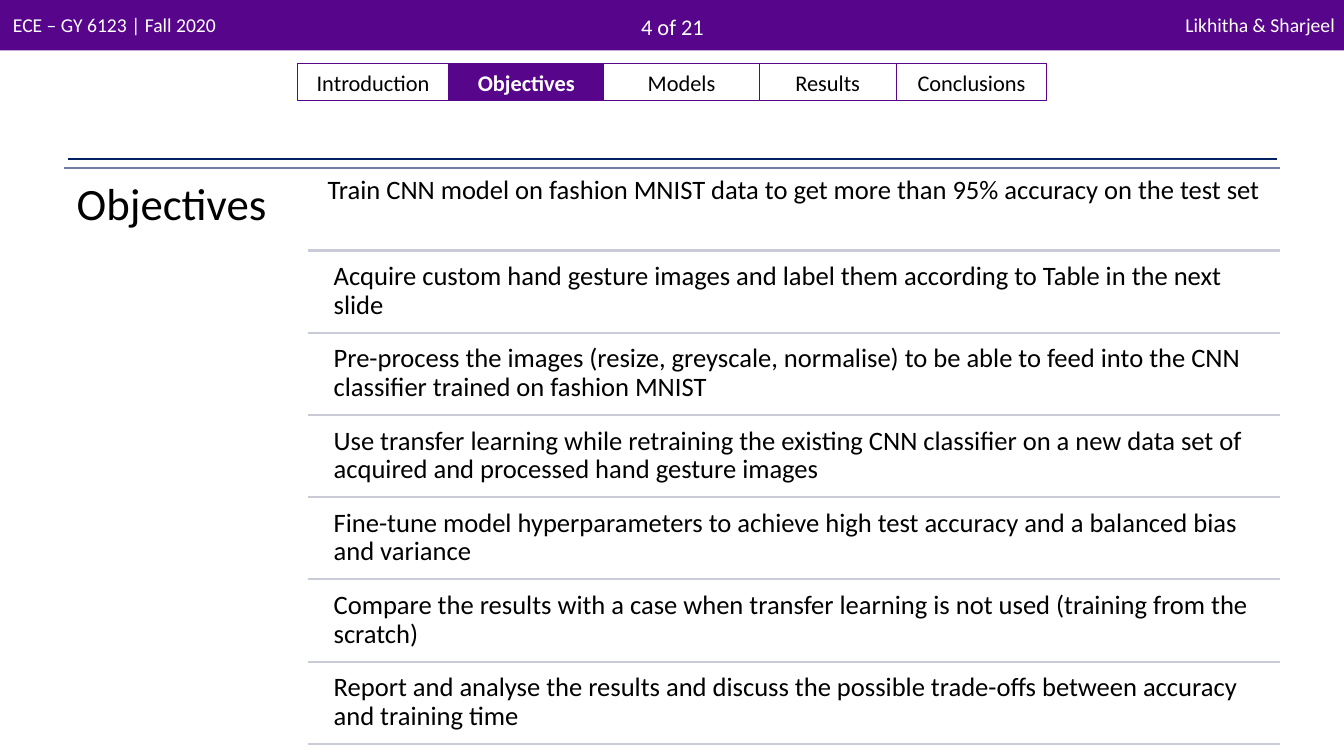
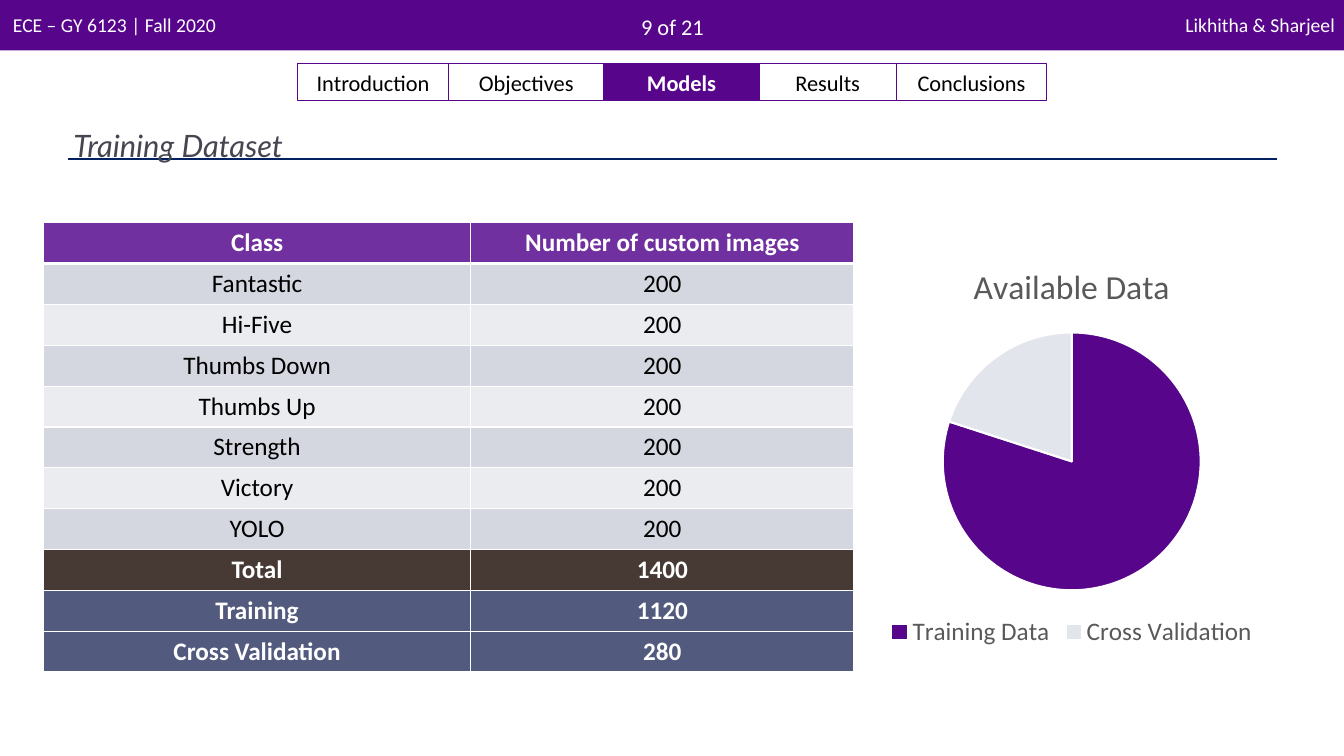
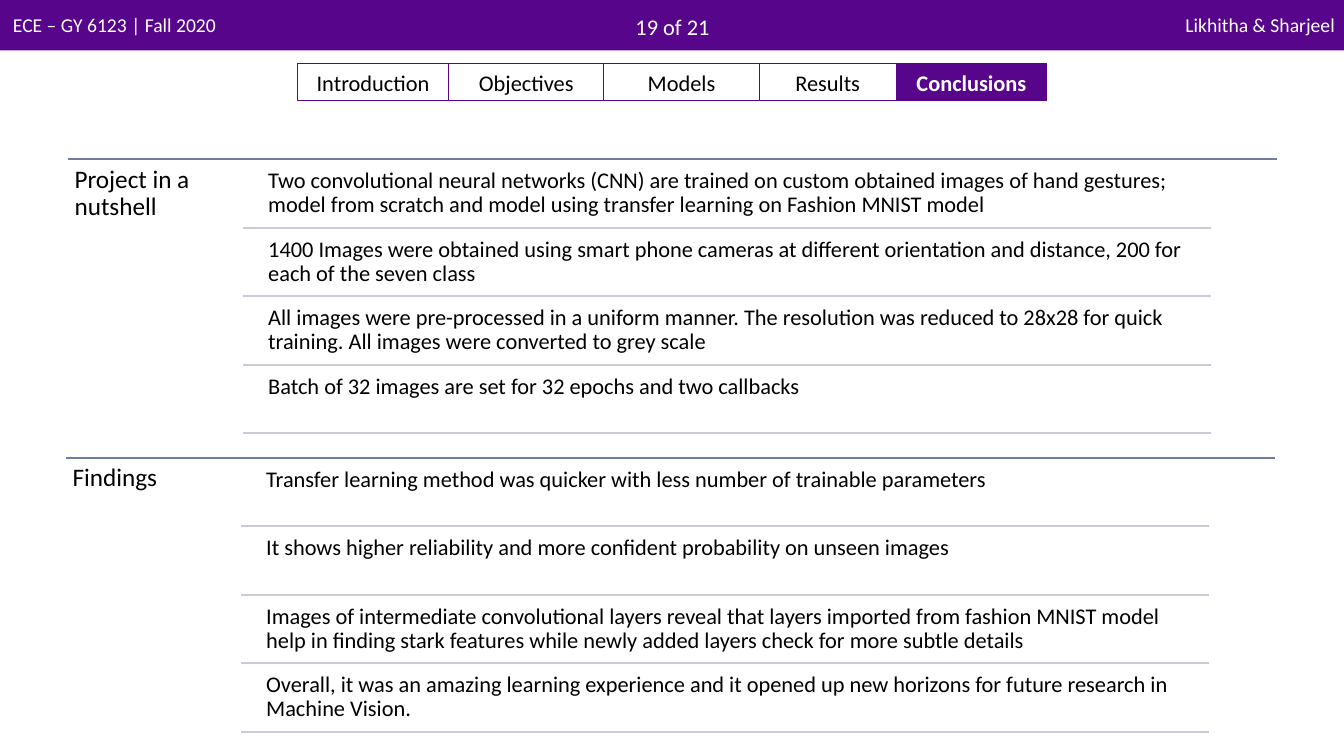
"""Three slides of a hand gesture classification talk."""
from dataclasses import dataclass

from lxml import etree
from pptx import Presentation
from pptx import util as u
from pptx.chart import data as chart_data
from pptx.dml.color import RGBColor
from pptx.enum import chart as chart_enum
from pptx.enum import shapes, text
from pptx.oxml import ns

CENTER, RIGHT = text.PP_ALIGN.CENTER, text.PP_ALIGN.RIGHT
TABS = [("Introduction", 1.5), ("Objectives", 1.54), ("Models", 1.54),
        ("Results", 1.36), ("Conclusions", 1.49)]
PAGE_COUNT = 21


@dataclass(frozen=True)
class Theme:
    """Colours, fonts and type sizes of the deck."""
    purple: str = "57068C"
    navy: str = "002060"
    white: str = "FFFFFF"
    black: str = "000000"
    title: str = "464653"
    head_rule: str = "727CA3"
    item_rule: str = "C9CCD7"
    table_head: str = "7030A0"
    bands: tuple = ("D5D7E0", "EBECF0")
    total: str = "473A35"
    split: str = "525B7E"
    chart_text: str = "595959"
    chart_light: str = "E3E5ED"
    font: str = "Calibri"
    title_font: str = "Lato"
    band_size: int = 14
    tab_size: int = 16
    title_size: int = 22
    table_size: int = 18
    legend_size: int = 18
    chart_title_size: int = 24


THEME = Theme()


@dataclass(frozen=True)
class Outline:
    """Measures of a labelled list with a rule under each item."""
    left: float
    top: float
    height: float
    head_width: float
    item_left: float
    item_right: float
    gap: float
    inset: float
    label_inset: float
    label_size: int
    item_size: int


def rgb(value):
    """Turn a hex string into a colour."""
    return RGBColor.from_string(value)


def style_font(font, size, color, bold=False, italic=False, name=THEME.font):
    """Set the face, size and colour of a font."""
    font.name, font.size = name, u.Pt(size)
    font.bold, font.italic = bold, italic
    font.color.rgb = rgb(color)


def write(frame, words, size, color, align=None, spacing=None, **style):
    """Write one run into the first paragraph of a text frame."""
    para = frame.paragraphs[0]
    para.alignment, para.line_spacing = align, spacing
    span = para.add_run()
    span.text = words
    style_font(span.font, size, color, **style)


def add_label(page, place, words, size, color, inset=None,
              anchor=text.MSO_ANCHOR.TOP, **style):
    """Add a wrapping text box at (left, top, width, height)."""
    box = page.shapes.add_textbox(*map(u.Inches, place))
    frame = box.text_frame
    frame.word_wrap = True
    frame.vertical_anchor = anchor
    if inset is not None:
        frame.margin_left = frame.margin_right = u.Inches(inset)
        frame.margin_top = frame.margin_bottom = u.Inches(inset)
    write(frame, words, size, color, **style)


def add_box(page, place, fill=None, line=None):
    """Add a plain rectangle and return it."""
    box = page.shapes.add_shape(shapes.MSO_SHAPE.RECTANGLE, *map(u.Inches, place))
    box.shadow.inherit = False
    if fill:
        box.fill.solid()
        box.fill.fore_color.rgb = rgb(fill)
    else:
        box.fill.background()
    if line:
        box.line.color.rgb = rgb(line)
        box.line.width = u.Pt(0.75)
    else:
        box.line.fill.background()
    return box


def add_rule(page, left, right, top, color):
    """Add a horizontal line."""
    rule = page.shapes.add_connector(shapes.MSO_CONNECTOR.STRAIGHT,
                                     *map(u.Inches, (left, top, right, top)))
    rule.line.color.rgb = rgb(color)
    rule.line.width = u.Pt(1.5)
    etree.SubElement(rule.element.spPr, ns.qn("a:effectLst"))


def add_tabs(page, current):
    """Add the section tabs with the current one filled."""
    left = 2.95
    for name, width in TABS:
        active = name == current
        tab = add_box(page, (left, 0.63, width, 0.37),
                      THEME.purple if active else None, THEME.purple)
        write(tab.text_frame, name, THEME.tab_size,
              THEME.white if active else THEME.black, CENTER, bold=active)
        left += width


def start_page(deck, number, section):
    """Add a slide with the top band, the title rule and the tabs."""
    page = deck.slides.add_slide(deck.slide_layouts[6])
    add_box(page, (0, 0, 13.33, 0.5), THEME.purple)
    add_label(page, (0.03, 0.08, 5.86, 0.33), "ECE – GY 6123 | Fall 2020",
              THEME.band_size, THEME.white)
    add_label(page, (7.78, 0.08, 5.56, 0.33), "Likhitha & Sharjeel",
              THEME.band_size, THEME.white, align=RIGHT)
    add_rule(page, 0.67, 12.67, 1.58, THEME.navy)
    add_label(page, (4.47, 0.08, 4.4, 0.34), f"{number} of {PAGE_COUNT}",
              THEME.tab_size, THEME.white, align=CENTER)
    add_tabs(page, section)
    return page


def add_outline(page, outline, label, items, first_shift=(0, 0)):
    """Add a label at the left and evenly spaced, ruled items beside it."""
    left, top = outline.left, outline.top
    step = outline.height / len(items)
    add_rule(page, left, left + outline.head_width, top, THEME.head_rule)
    add_label(page, (left, top, outline.item_left, outline.height), label,
              outline.label_size, THEME.black, outline.label_inset, spacing=0.9)
    rule_left, rule_right = left + outline.item_left, left + outline.item_right
    for index, item in enumerate(items):
        across, down = (0, 0) if index else first_shift
        place = (rule_left + 0.18 + across, top + index * step + outline.gap + down,
                 rule_right - rule_left - 0.18, step - outline.gap)
        add_label(page, place, item, outline.item_size, THEME.black,
                  outline.inset, spacing=0.9)
        add_rule(page, rule_left, rule_right, top + (index + 1) * step,
                 THEME.item_rule)


def set_borders(cell, top, bottom):
    """Give a cell white borders; top and bottom widths are in points."""
    props = cell._tc.get_or_add_tcPr()
    for side, width in (("L", 1), ("R", 1), ("T", top), ("B", bottom)):
        edge = etree.SubElement(props, ns.qn(f"a:ln{side}"), w=str(u.Pt(width)))
        fill = etree.SubElement(edge, ns.qn("a:solidFill"))
        etree.SubElement(fill, ns.qn("a:srgbClr"), val=THEME.white)


def add_class_table(page, rows, fills):
    """Add the class table; rows with a dark fill have bold white text."""
    table = page.shapes.add_table(
        len(rows), 2, *map(u.Inches, (0.43, 2.21, 8.04, 4.46))).table
    for column, width in zip(table.columns, (4.24, 3.8)):
        column.width = u.Inches(width)
    for index, (row, fill) in enumerate(zip(rows, fills)):
        table.rows[index].height = u.Inches(4.46 / len(rows))
        strong = fill not in THEME.bands
        for column, words in enumerate(row):
            cell = table.cell(index, column)
            set_borders(cell, 3 if index == 1 else 1, 3 if index == 0 else 1)
            cell.fill.solid()
            cell.fill.fore_color.rgb = rgb(fill)
            write(cell.text_frame, words, THEME.table_size,
                  THEME.white if strong else THEME.black, CENTER, bold=strong)


def add_data_pie(page):
    """Add the pie of training and validation shares."""
    data = chart_data.CategoryChartData()
    data.categories = ["Training Data", "Cross Validation"]
    data.add_series("Series 1", (80, 20))
    chart = page.shapes.add_chart(chart_enum.XL_CHART_TYPE.PIE,
                                  *map(u.Inches, (8.13, 2.42, 5, 4.05)), data).chart
    style_font(chart.font, 10, THEME.black)
    chart.has_title = True
    write(chart.chart_title.text_frame, "Available Data",
          THEME.chart_title_size, THEME.chart_text)
    chart.has_legend = True
    chart.legend.position = chart_enum.XL_LEGEND_POSITION.BOTTOM
    chart.legend.include_in_layout = False
    style_font(chart.legend.font, THEME.legend_size, THEME.chart_text)
    plot = chart.plots[0]
    plot.vary_by_categories = True
    for index, color in enumerate((THEME.purple, THEME.chart_light)):
        look = plot.series[0].points[index].format
        look.fill.solid()
        look.fill.fore_color.rgb = rgb(color)
        look.line.color.rgb = rgb(THEME.white)
        look.line.width = u.Pt(1.5)


def build_objectives(deck):
    """Build the slide of objectives."""
    page = start_page(deck, 4, "Objectives")
    outline = Outline(left=0.63, top=1.67, height=5.71, head_width=12.07,
                      item_left=2.42, item_right=12.07, gap=0.04, inset=0.08,
                      label_inset=0.13, label_size=32, item_size=19)
    add_outline(page, outline, "Objectives", [
        "Train CNN model on fashion MNIST data to get more than 95% accuracy "
        "on the test set",
        "Acquire custom hand gesture images and label them according to Table "
        "in the next slide",
        "Pre-process the images (resize, greyscale, normalise) to be able to "
        "feed into the CNN classifier trained on fashion MNIST",
        "Use transfer learning while retraining the existing CNN classifier on "
        "a new data set of acquired and processed hand gesture images",
        "Fine-tune model hyperparameters to achieve high test accuracy and a "
        "balanced bias and variance",
        "Compare the results with a case when transfer learning is not used "
        "(training from the scratch)",
        "Report and analyse the results and discuss the possible trade-offs "
        "between accuracy and training time",
    ], first_shift=(-0.06, -0.04))


def build_dataset(deck):
    """Build the slide of the training dataset."""
    page = start_page(deck, 9, "Models")
    add_label(page, (0.63, 0.92, 9, 0.75), "Training Dataset", THEME.title_size,
              THEME.title, anchor=text.MSO_ANCHOR.BOTTOM, italic=True,
              name=THEME.title_font)
    classes = ["Fantastic", "Hi-Five", "Thumbs Down", "Thumbs Up", "Strength",
               "Victory", "YOLO"]
    rows = [("Class", "Number of custom images"),
            *((name, "200") for name in classes),
            ("Total", "1400"), ("Training", "1120"), ("Cross Validation", "280")]
    fills = [THEME.table_head,
             *(THEME.bands[index % 2] for index in range(len(classes))),
             THEME.total, THEME.split, THEME.split]
    add_class_table(page, rows, fills)
    add_data_pie(page)


def build_conclusions(deck):
    """Build the slide of conclusions."""
    page = start_page(deck, 19, "Conclusions")
    sections = [
        (0.67, 1.58, "Project in a nutshell", [
            "Two convolutional neural networks (CNN) are trained on custom "
            "obtained images of hand gestures; model from scratch and model "
            "using transfer learning on Fashion MNIST model",
            "1400 Images were obtained using smart phone cameras at different "
            "orientation and distance, 200 for each of the seven class",
            "All images were pre-processed in a uniform manner. The resolution "
            "was reduced to 28x28 for quick training. All images were converted "
            "to grey scale",
            "Batch of 32 images are set for 32 epochs and two callbacks",
        ]),
        (0.65, 4.54, "Findings", [
            "Transfer learning method was quicker with less number of trainable "
            "parameters",
            "It shows higher reliability and more confident probability on "
            "unseen images",
            "Images of intermediate convolutional layers reveal that layers "
            "imported from fashion MNIST model help in finding stark features "
            "while newly added layers check for more subtle details",
            "Overall, it was an amazing learning experience and it opened up new "
            "horizons for future research in Machine Vision.",
        ]),
    ]
    for left, top, label, items in sections:
        outline = Outline(left=left, top=top, height=2.72, head_width=12,
                          item_left=1.74, item_right=11.34, gap=0.03, inset=0.07,
                          label_inset=0.07, label_size=18, item_size=16)
        add_outline(page, outline, label, items)


def main():
    """Build and save the deck."""
    deck = Presentation()
    deck.slide_width, deck.slide_height = u.Inches(13.33), u.Inches(7.5)
    build_objectives(deck)
    build_dataset(deck)
    build_conclusions(deck)
    deck.save("out.pptx")


main()
